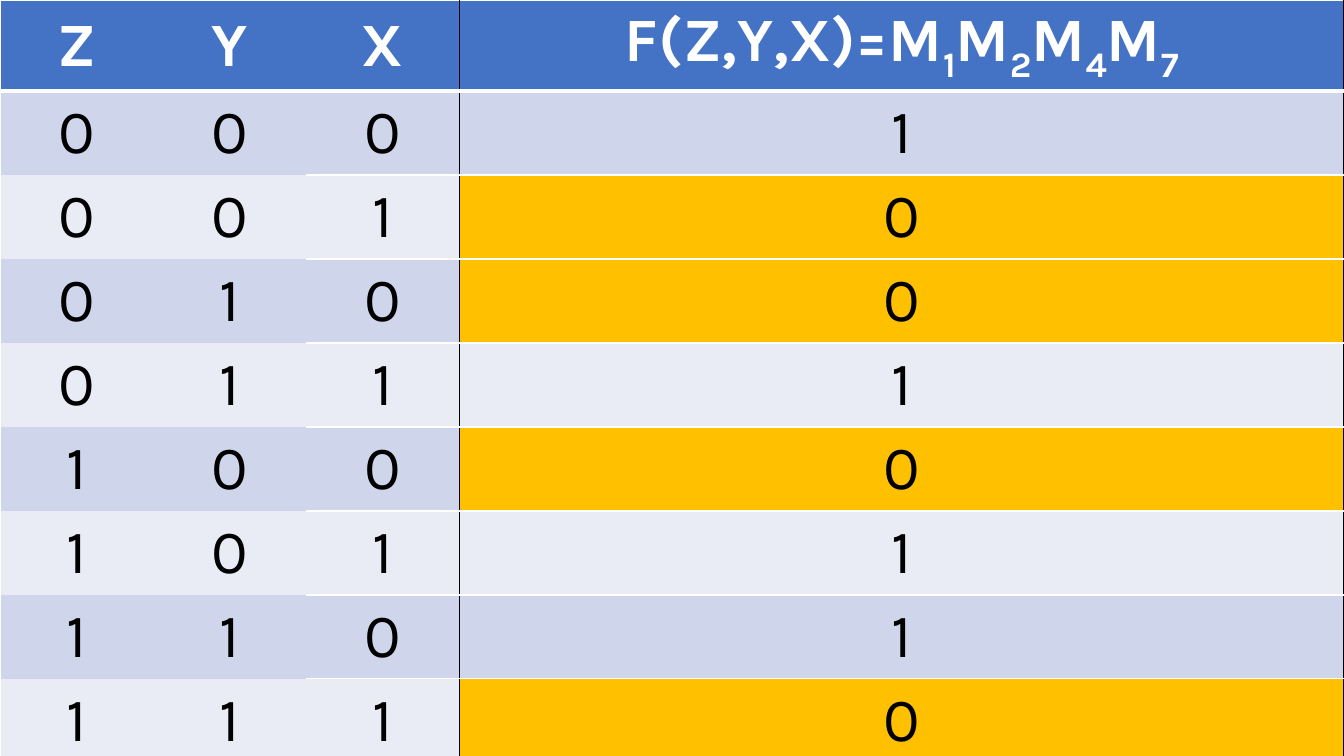
from lxml import etree
from pptx import Presentation
from pptx.dml.color import RGBColor
from pptx.enum.text import MSO_ANCHOR, PP_ALIGN
from pptx.oxml.ns import qn
from pptx.util import Inches, Pt

MIDDLE = MSO_ANCHOR.MIDDLE
CENTER = PP_ALIGN.CENTER

COLORS = {
    "header": "4472C4",
    "band_dark": "CFD5EA",
    "band_light": "E9EBF5",
    "zero": "FFC000",
    "white": "FFFFFF",
    "black": "000000",
}
FONT = "Karla"
WIDTH, HEIGHT = 13.33, 7.5
VARIABLES = ["Z", "Y", "X"]
VARIABLE_WIDTH = 1.52
MAXTERMS = [1, 2, 4, 7]
ROW_COUNT = 2 ** len(VARIABLES) + 1
FUNCTION_COLUMN = len(VARIABLES)


def add_text(paragraph, text, size=44, color="black", bold=False, subscript=False):
    run = paragraph.add_run()
    run.text = text
    run.font.name = FONT
    run.font.size = Pt(size)
    run.font.bold = bold
    run.font.color.rgb = RGBColor.from_string(COLORS[color])
    if subscript:
        run.font._element.set("baseline", "-25000")


def add_border(cell, side, color, width):
    properties = cell._tc.get_or_add_tcPr()
    line = etree.SubElement(properties, qn(f"a:ln{side}"), w=str(Pt(width)))
    if color is None:
        etree.SubElement(line, qn("a:noFill"))
        return
    fill = etree.SubElement(line, qn("a:solidFill"))
    etree.SubElement(fill, qn("a:srgbClr"), val=COLORS[color])


def horizontal_border(edge, column):
    if edge == 1:
        return "white", 3
    is_outer = edge in (0, ROW_COUNT)
    is_ruled = column >= FUNCTION_COLUMN - 1
    return ("white" if is_outer or is_ruled else None), 1


def vertical_border(edge):
    if edge == 0:
        return "white", 1
    return ("black" if edge >= FUNCTION_COLUMN else None), 1


def format_cell(cell, row, column, fill):
    add_border(cell, "L", *vertical_border(column))
    add_border(cell, "R", *vertical_border(column + 1))
    add_border(cell, "T", *horizontal_border(row, column))
    add_border(cell, "B", *horizontal_border(row + 1, column))
    cell.fill.solid()
    cell.fill.fore_color.rgb = RGBColor.from_string(COLORS[fill])
    cell.vertical_anchor = MIDDLE
    paragraph = cell.text_frame.paragraphs[0]
    paragraph.alignment = CENTER
    return paragraph


def add_header(table):
    for column in range(FUNCTION_COLUMN + 1):
        paragraph = format_cell(table.cell(0, column), 0, column, "header")
        if column < FUNCTION_COLUMN:
            add_text(paragraph, VARIABLES[column], color="white", bold=True)
    add_text(paragraph, f"F({','.join(VARIABLES)})=M", color="white", bold=True)
    for position, maxterm in enumerate(MAXTERMS):
        if position:
            add_text(paragraph, "M", color="white", bold=True)
        add_text(paragraph, str(maxterm), color="white", bold=True, subscript=True)


def add_truth_row(table, index):
    row = index + 1
    result = "0" if index in MAXTERMS else "1"
    band = "band_light" if index % 2 else "band_dark"
    values = f"{index:0{len(VARIABLES)}b}" + result
    for column, value in enumerate(values):
        is_zero_result = column == FUNCTION_COLUMN and value == "0"
        fill = "zero" if is_zero_result else band
        add_text(format_cell(table.cell(row, column), row, column, fill), value)


def add_truth_table(slide):
    table = slide.shapes.add_table(
        ROW_COUNT, FUNCTION_COLUMN + 1, 0, 0, Inches(WIDTH), Inches(HEIGHT)
    ).table
    table.horz_banding = False
    for column in range(FUNCTION_COLUMN):
        table.columns[column].width = Inches(VARIABLE_WIDTH)
    table.columns[FUNCTION_COLUMN].width = Inches(
        WIDTH - FUNCTION_COLUMN * VARIABLE_WIDTH
    )
    for row in table.rows:
        row.height = Inches(HEIGHT / ROW_COUNT)
    add_header(table)
    for index in range(ROW_COUNT - 1):
        add_truth_row(table, index)


def main():
    presentation = Presentation()
    presentation.slide_width = Inches(WIDTH)
    presentation.slide_height = Inches(HEIGHT)
    slide = presentation.slides.add_slide(presentation.slide_layouts[6])
    add_truth_table(slide)
    presentation.save("out.pptx")


if __name__ == "__main__":
    main()
